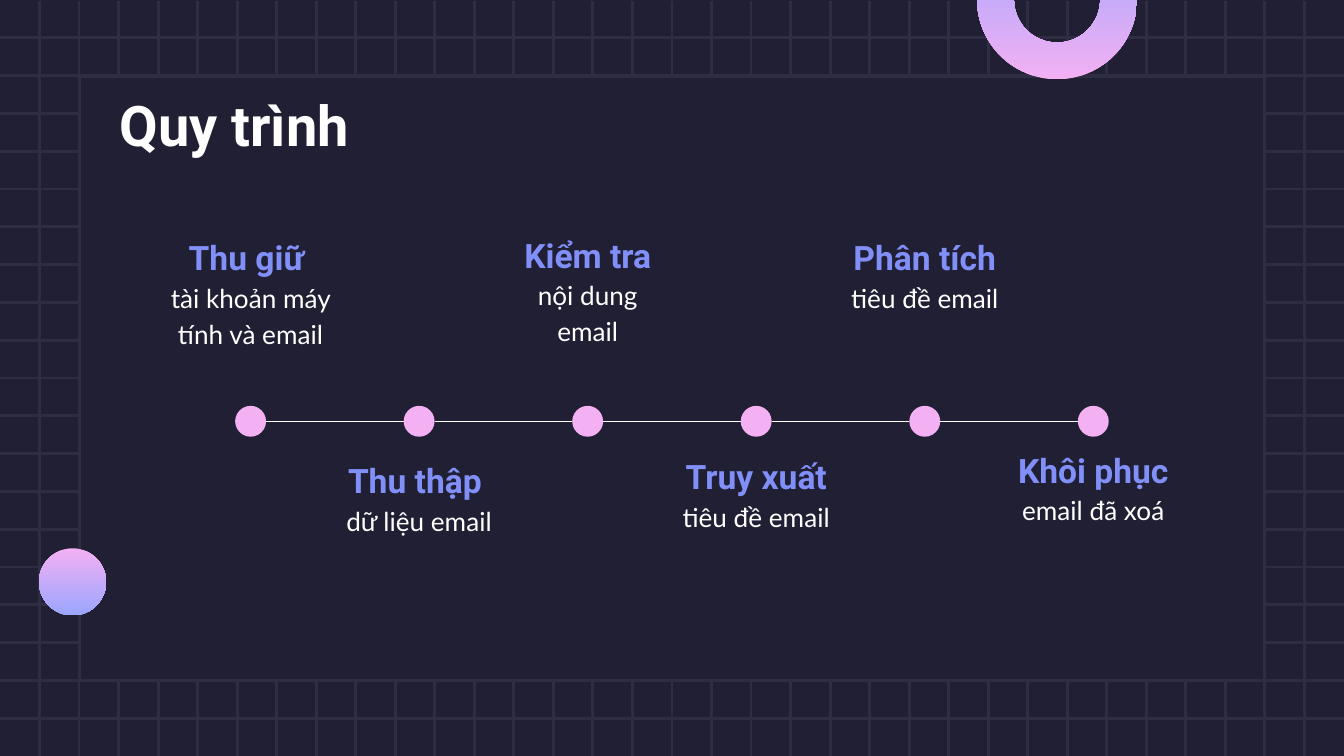
from dataclasses import dataclass

from lxml import etree
from pptx import Presentation
from pptx.dml.color import RGBColor
from pptx.enum.shapes import MSO_CONNECTOR, MSO_SHAPE
from pptx.enum.text import MSO_ANCHOR, MSO_AUTO_SIZE, PP_ALIGN
from pptx.oxml.ns import qn
from pptx.util import Inches, Pt

STRAIGHT = MSO_CONNECTOR.STRAIGHT
OVAL = MSO_SHAPE.OVAL
RECTANGLE = MSO_SHAPE.RECTANGLE
BLOCK_ARC = MSO_SHAPE.BLOCK_ARC
CENTER, LEFT = PP_ALIGN.CENTER, PP_ALIGN.LEFT
TOP = MSO_ANCHOR.TOP
NO_AUTOFIT = MSO_AUTO_SIZE.NONE
TITLE_ONLY = 5

WIDTH = 10
HEIGHT = WIDTH * 9 / 16
ROWS, COLUMNS = 20, 34
DOT_SIZE = 0.23
FIRST_DOT, LAST_DOT, DOT_TOP = 1.75, 8.02, 3.02

# Heading, detail, whether a line break parts them, top and width of each caption
STEPS = [
    ("Thu giữ ", "tài khoản máy tính và email", True, 1.62, 1.54),
    ("Thu thập ", "dữ liệu email", True, 3.28, 1.54),
    ("Kiểm tra ", "nội dung email", False, 1.6, 1.39),
    ("Truy xuất ", "tiêu đề email", False, 3.25, 1.54),
    ("Phân tích ", "tiêu đề email", False, 1.62, 1.39),
    ("Khôi phục ", "email đã xoá", False, 3.2, 1.54),
]


@dataclass(frozen=True)
class Theme:
    background: RGBColor = RGBColor(0x21, 0x1F, 0x34)
    grid: RGBColor = RGBColor(0x2E, 0x2D, 0x42)
    text: RGBColor = RGBColor(0xFF, 0xFF, 0xFF)
    heading: RGBColor = RGBColor(0x81, 0x8F, 0xF9)
    pink: RGBColor = RGBColor(0xF3, 0xB0, 0xF3)
    blue: RGBColor = RGBColor(0x9A, 0xA6, 0xFF)
    heading_font: str = "Roboto"
    body_font: str = "Lato"
    title_size: int = 30
    heading_size: int = 18
    body_size: int = 14


THEME = Theme()


def add_line(slide, start, end, color, weight):
    line = slide.shapes.add_connector(STRAIGHT, *map(Inches, start + end))
    line.line.color.rgb = color
    line.line.width = Pt(weight)
    etree.SubElement(line._element.spPr, qn("a:effectLst"))
    return line


def add_plain_shape(slide, kind, left, top, width, height, color):
    shape = slide.shapes.add_shape(kind, *map(Inches, (left, top, width, height)))
    shape.shadow.inherit = False
    shape.fill.solid()
    shape.fill.fore_color.rgb = color
    shape.line.fill.background()
    return shape


def add_gradient_shape(slide, kind, left, top, size):
    """Add a square shape that fades from pink at its top to blue."""
    shape = add_plain_shape(slide, kind, left, top, size, size, THEME.pink)
    shape.fill.gradient()
    shape.fill.gradient_angle = 270
    for stop, color in zip(shape.fill.gradient_stops, (THEME.pink, THEME.blue)):
        stop.color.rgb = color
    return shape


def style_font(font, name, size, color, bold):
    font.name = name
    font.size = Pt(size)
    font.color.rgb = color
    font.bold = bold


def prepare_frame(shape):
    frame = shape.text_frame
    frame.word_wrap = True
    frame.auto_size = NO_AUTOFIT
    frame.vertical_anchor = TOP
    frame.margin_left = frame.margin_right = Inches(0.1)
    frame.margin_top = frame.margin_bottom = Inches(0.1)
    return frame


def add_backdrop(slide):
    """Put the grid and the panel over its middle on the slide's layout."""
    slide.background.fill.solid()
    slide.background.fill.fore_color.rgb = THEME.background
    parts = []
    for row in range(1, ROWS):
        y = row * HEIGHT / ROWS
        parts.append(add_line(slide, (0, y), (WIDTH, y), THEME.grid, 1.5))
    for column in range(1, COLUMNS):
        x = column * WIDTH / COLUMNS
        parts.append(add_line(slide, (x, 0.01), (x, HEIGHT), THEME.grid, 1.5))
    panel = add_plain_shape(slide, RECTANGLE, 0.59, 0.57, 8.82, 4.49, THEME.background)
    panel.line.color.rgb = THEME.grid
    panel.line.width = Pt(1.5)
    for part in parts + [panel]:
        slide.slide_layout.shapes._spTree.append(part._element)


def set_title(slide, text):
    title = slide.shapes.title
    title.left, title.top = Inches(0.79), Inches(0.57)
    title.width, title.height = Inches(8.43), Inches(0.63)
    paragraph = prepare_frame(title).paragraphs[0]
    paragraph.text = text
    paragraph.alignment = LEFT
    style_font(paragraph.font, THEME.heading_font, THEME.title_size, THEME.text, True)


def add_ornaments(slide):
    add_gradient_shape(slide, OVAL, 0.29, 4.08, 0.5)
    arc = add_gradient_shape(slide, BLOCK_ARC, 7.27, -0.6, 1.19)
    arc.rotation = 180
    for index, value in enumerate((108, 0.36, 0.23)):
        arc.adjustments[index] = value


def add_caption(slide, center, heading, detail, has_break, top, width):
    box = slide.shapes.add_textbox(Inches(center - width / 2), Inches(top),
                                   Inches(width), Inches(1.13))
    paragraph = prepare_frame(box).paragraphs[0]
    paragraph.alignment = CENTER
    paragraph.line_spacing = 1.15
    heading_run = paragraph.add_run()
    heading_run.text = heading
    style_font(heading_run.font, THEME.heading_font, THEME.heading_size,
               THEME.heading, True)
    if has_break:
        paragraph.add_line_break()
    detail_run = paragraph.add_run()
    detail_run.text = detail
    style_font(detail_run.font, THEME.body_font, THEME.body_size, THEME.text, False)


def add_timeline(slide):
    pitch = (LAST_DOT - FIRST_DOT) / (len(STEPS) - 1)
    middle = DOT_TOP + DOT_SIZE / 2
    for index, step in enumerate(STEPS):
        left = FIRST_DOT + index * pitch
        if index:
            add_line(slide, (left - pitch + DOT_SIZE, middle), (left, middle),
                     THEME.text, 0.75)
        add_plain_shape(slide, OVAL, left, DOT_TOP, DOT_SIZE, DOT_SIZE, THEME.pink)
        add_caption(slide, left + DOT_SIZE / 2, *step)


def main():
    presentation = Presentation()
    presentation.slide_width = Inches(WIDTH)
    presentation.slide_height = Inches(HEIGHT)
    slide = presentation.slides.add_slide(presentation.slide_layouts[TITLE_ONLY])
    add_backdrop(slide)
    set_title(slide, "Quy trình")
    add_ornaments(slide)
    add_timeline(slide)
    presentation.save("out.pptx")


if __name__ == "__main__":
    main()
